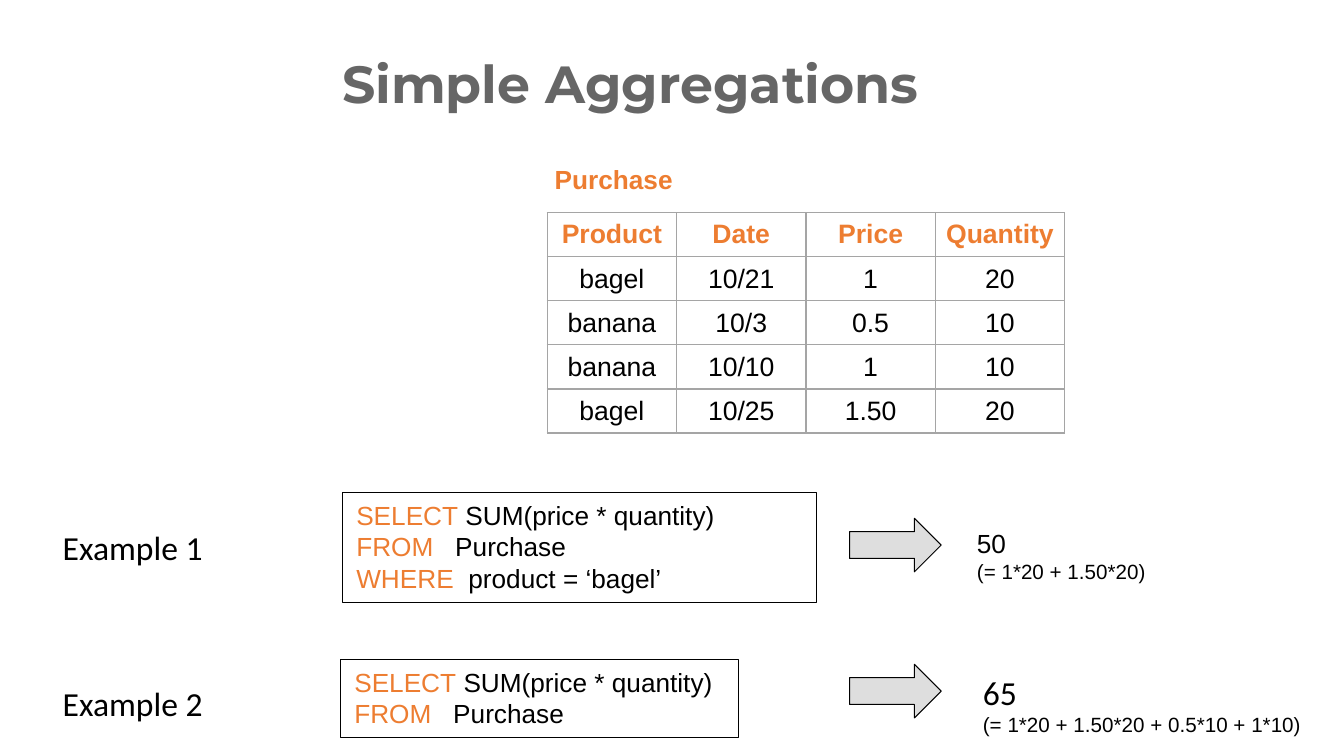
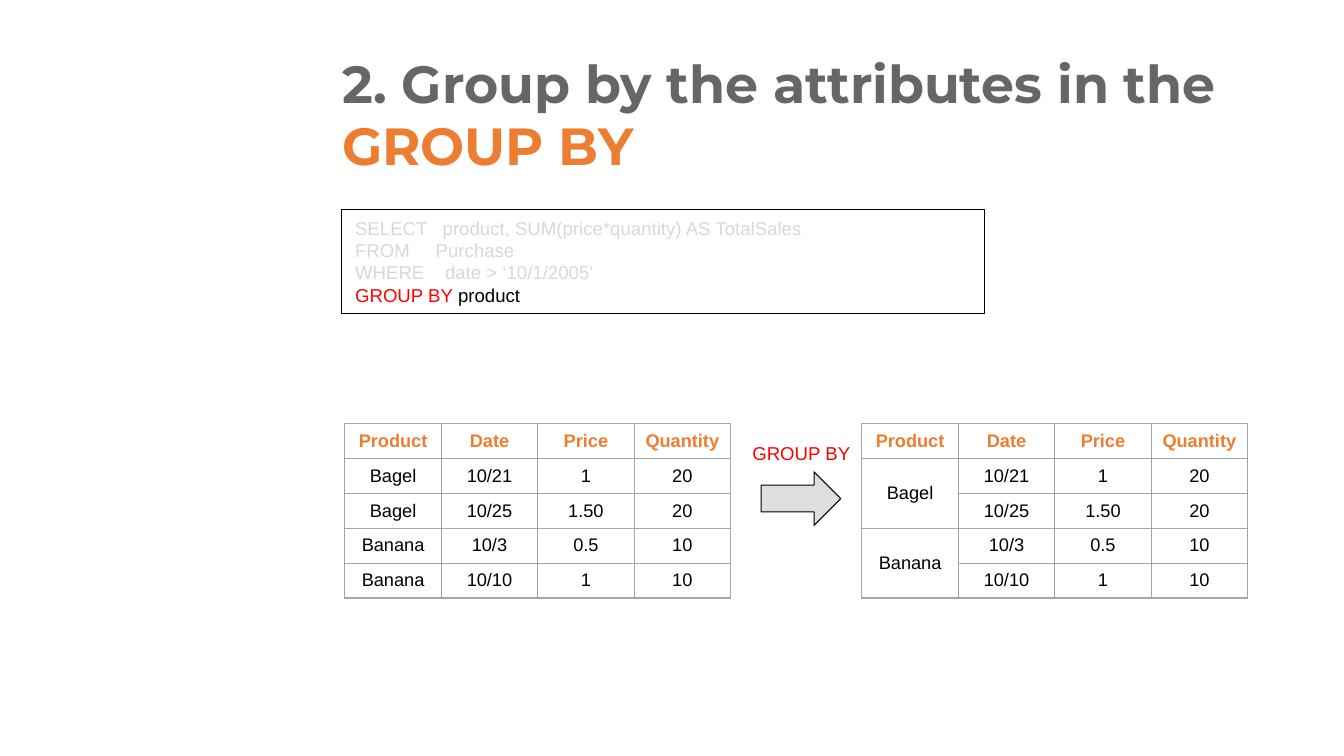
from lxml.etree import SubElement
from pptx import Presentation
from pptx.dml.color import RGBColor
from pptx.enum.shapes import MSO_SHAPE
from pptx.enum.text import MSO_ANCHOR, MSO_AUTO_SIZE, PP_ALIGN
from pptx.oxml import parse_xml
from pptx.oxml.ns import nsdecls, qn
from pptx.util import Cm, Pt

BLACK = RGBColor(0x00, 0x00, 0x00)
WHITE = RGBColor(0xFF, 0xFF, 0xFF)
GRAY = RGBColor(0x66, 0x66, 0x66)
SILVER = RGBColor(0xBF, 0xBF, 0xBF)
FADED = RGBColor(0xD8, 0xD8, 0xD8)
BORDER = RGBColor(0xA5, 0xA5, 0xA5)
ORANGE = RGBColor(0xED, 0x7D, 0x31)
RED = RGBColor(0xFF, 0x00, 0x00)


class Deck:
    """Holds the shared style and the slide being filled."""

    title_font, body_font, label_font = "Montserrat", "Arial", "Calibri"
    title_size, label_size = 37.3, 24

    def __init__(self):
        self.presentation = Presentation()
        self.presentation.slide_width = Cm(33.87)
        self.presentation.slide_height = Cm(19.05)
        self.slide = None

    def styled_run(self, paragraph, text, size, color=BLACK, font=body_font,
                   bold=False):
        run = paragraph.add_run()
        run.text = text
        run.font.name, run.font.size, run.font.bold = font, Pt(size), bold
        run.font.color.rgb = color

    def set_lines(self, shape, lines, size, margin_y=0.18, **style):
        """Each line is a list of (text, overrides) runs."""
        frame = shape.text_frame
        frame.word_wrap = True
        frame.auto_size = MSO_AUTO_SIZE.NONE
        frame.vertical_anchor = MSO_ANCHOR.TOP
        frame.margin_left = frame.margin_right = Cm(0.34)
        frame.margin_top = frame.margin_bottom = Cm(margin_y)
        for index, line in enumerate(lines):
            paragraph = frame.add_paragraph() if index else frame.paragraphs[0]
            paragraph.alignment = PP_ALIGN.LEFT
            for text, overrides in line:
                self.styled_run(paragraph, text,
                                **{"size": size, **style, **overrides})

    def start_slide(self, title_runs, title_height):
        layout = self.presentation.slide_layouts[5]
        self.slide = self.presentation.slides.add_slide(layout)
        title = self.slide.shapes.title
        title.left, title.top = Cm(8.28), Cm(0.94)
        title.width, title.height = Cm(24.74), Cm(title_height)
        self.set_lines(title, [title_runs], self.title_size, margin_y=0.34,
                       font=self.title_font, color=GRAY, bold=True)

    def text(self, left, top, width, height, lines, size, **style):
        box = self.slide.shapes.add_textbox(Cm(left), Cm(top), Cm(width), Cm(height))
        self.set_lines(box, lines, size, **style)

    def example_label(self, top, text):
        self.text(1.24, top, 7.21, 1.14, [[(text, {})]],
                  self.label_size, font=self.label_font)

    def outlined(self, preset, left, top, width, height, fill):
        shape = self.slide.shapes.add_shape(
            preset, Cm(left), Cm(top), Cm(width), Cm(height))
        shape.shadow.inherit = False
        shape.fill.solid()
        shape.fill.fore_color.rgb = fill
        shape.line.color.rgb = BLACK
        shape.line.width = Pt(0.75)
        return shape

    def query(self, left, top, width, height, lines, size):
        box = self.outlined(MSO_SHAPE.RECTANGLE, left, top, width, height, WHITE)
        self.set_lines(box, lines, size)

    def arrow(self, left, top, width):
        arrow = self.outlined(MSO_SHAPE.RIGHT_ARROW, left, top, width, 1.35, SILVER)
        color = arrow.element.spPr.find(qn("a:solidFill"))[0]
        SubElement(color, qn("a:alpha"), val="50000")

    def table(self, left, top, column_width, row_height, rows, size, merges=()):
        count = len(rows[0])
        table = self.slide.shapes.add_table(
            len(rows), count, Cm(left), Cm(top),
            Cm(column_width * count), Cm(row_height * len(rows))).table
        table.first_row = table.horz_banding = False
        for first, last in merges:
            table.cell(first, 0).merge(table.cell(last, 0))
        for column in table.columns:
            column.width = Cm(column_width)
        for row_index, values in enumerate(rows):
            table.rows[row_index].height = Cm(row_height)
            for column_index, value in enumerate(values):
                self.cell(table.cell(row_index, column_index), value, size,
                          header=row_index == 0)

    def cell(self, cell, value, size, header):
        cell.vertical_anchor = MSO_ANCHOR.MIDDLE
        cell.margin_left = cell.margin_right = Cm(0.2)
        cell.margin_top = cell.margin_bottom = Cm(0.1)
        cell.fill.background()
        properties = cell._tc.get_or_add_tcPr()
        for position, side in enumerate("LRTB"):
            properties.insert(position, parse_xml(
                f'<a:ln{side} {nsdecls("a")} w="{Pt(1)}"><a:solidFill>'
                f'<a:srgbClr val="{BORDER}"/></a:solidFill></a:ln{side}>'))
        paragraph = cell.text_frame.paragraphs[0]
        paragraph.alignment = PP_ALIGN.CENTER
        # Cells hidden by a merge still need the size, or they stretch the row
        self.styled_run(paragraph, value, size, ORANGE if header else BLACK,
                        bold=header)


HEADER = ["Product", "Date", "Price", "Quantity"]
KEYWORD = {"color": ORANGE}
SUM_QUERY = [
    [("SELECT", KEYWORD), (" SUM(price * quantity)", {})],
    [("FROM", KEYWORD), ("   Purchase", {})],
]
BAGEL_FILTER = [("WHERE ", KEYWORD), (" product = ‘bagel’", {})]


def simple_aggregations(deck):
    deck.start_slide([("Simple Aggregations", {})], 2.67)

    # Purchase relation
    deck.text(13.64, 3.94, 3.66, 1.14, [[("Purchase", {})]], 18.7,
              color=ORANGE, bold=True)
    purchases = [
        HEADER,
        ["bagel", "10/21", "1", "20"],
        ["banana", "10/3", "0.5", "10"],
        ["banana", "10/10", "1", "10"],
        ["bagel", "10/25", "1.50", "20"],
    ]
    deck.table(13.79, 5.36, 3.26, 1.11, purchases, 19)

    # Example 1: filtered sum
    working = {"size": 14.7}
    deck.example_label(13.11, "Example 1")
    deck.query(8.64, 12.4, 11.94, 2.79, SUM_QUERY + [BAGEL_FILTER], 18.7)
    deck.arrow(21.41, 13.06, 2.31)
    deck.text(24.28, 13.11, 7.21, 1.14,
              [[("50", {})], [("(= 1*20 + 1.50*20)", working)]], 18.7)

    # Example 2: sum over everything
    total = {"size": deck.label_size, "font": deck.label_font}
    deck.example_label(17.02, "Example 2")
    deck.query(8.59, 16.61, 10.03, 1.98, SUM_QUERY, 18.7)
    deck.arrow(21.41, 16.74, 2.31)
    deck.text(24.43, 16.74, 8.86, 1.7,
              [[("65", total)], [("(= 1*20 + 1.50*20 + 0.5*10 + 1*10)", working)]],
              18.7)


def group_by_attributes(deck):
    deck.start_slide([("2. Group by the attributes in the ", {}),
                      ("GROUP BY", KEYWORD)], 4.29)

    # Query with the current clause highlighted
    faded, active = {"color": FADED}, {"color": RED}
    deck.query(8.61, 5.28, 16.21, 2.62, [
        [("SELECT   product, SUM(price*quantity) AS TotalSales", faded)],
        [("FROM     Purchase", faded)],
        [("WHERE    date > ‘10/1/2005’", faded)],
        [("GROUP BY ", active), ("product", {})],
    ], 13.3)

    # Rows before and after grouping
    purchases = [
        HEADER,
        ["Bagel", "10/21", "1", "20"],
        ["Bagel", "10/25", "1.50", "20"],
        ["Banana", "10/3", "0.5", "10"],
        ["Banana", "10/10", "1", "10"],
    ]
    grouped = [["" if index in (2, 4) else row[0], *row[1:]]
               for index, row in enumerate(purchases)]
    deck.table(8.69, 10.67, 2.43, 0.88, purchases, 13)
    deck.table(21.72, 10.67, 2.43, 0.88, grouped, 13, merges=[(1, 2), (3, 4)])

    # Grouping step
    deck.text(18.62, 10.95, 3.3, 0.91, [[("GROUP BY", active)]], 13.3)
    deck.arrow(19.18, 11.89, 2.01)


def main():
    deck = Deck()
    simple_aggregations(deck)
    group_by_attributes(deck)
    deck.presentation.save("out.pptx")


if __name__ == "__main__":
    main()
